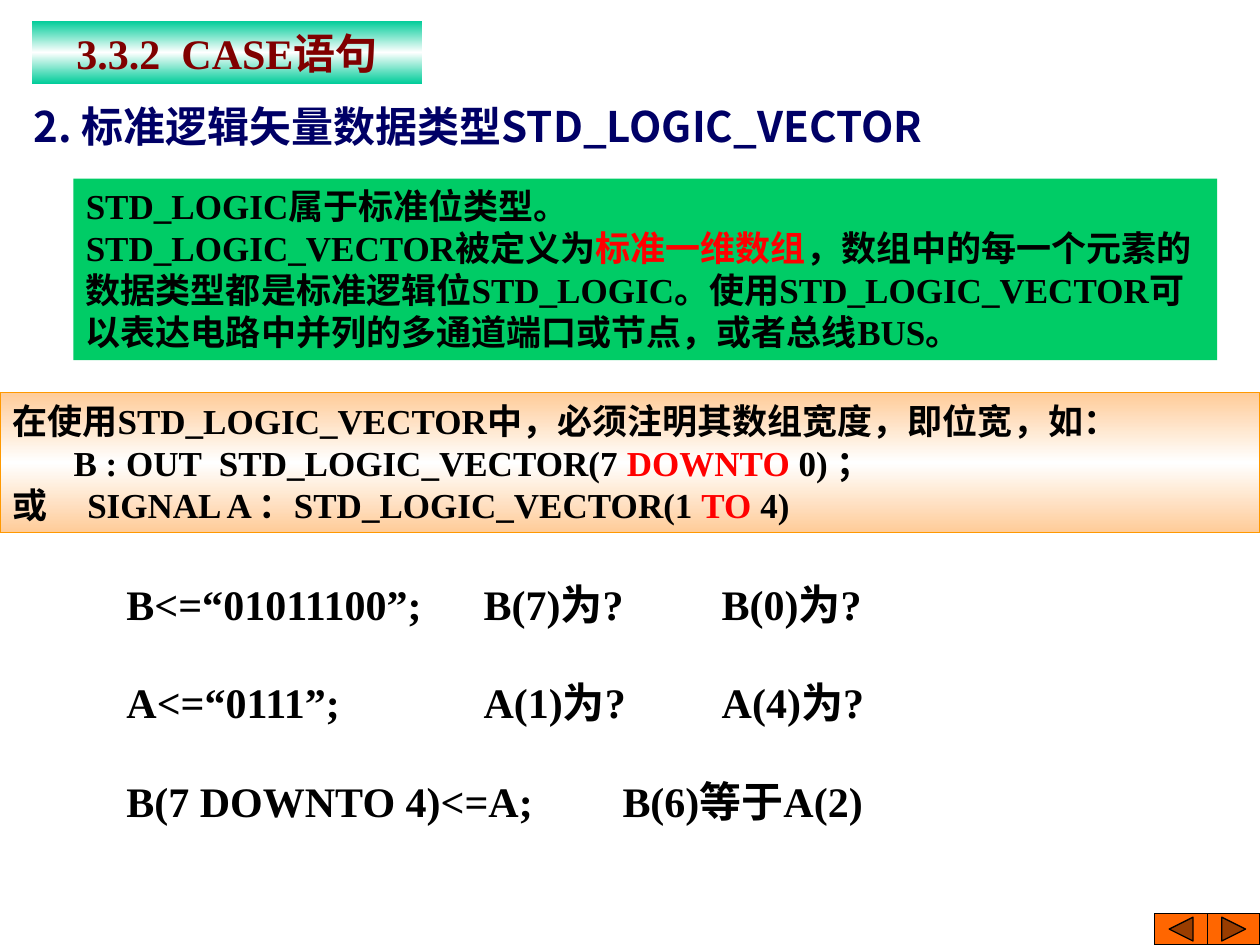
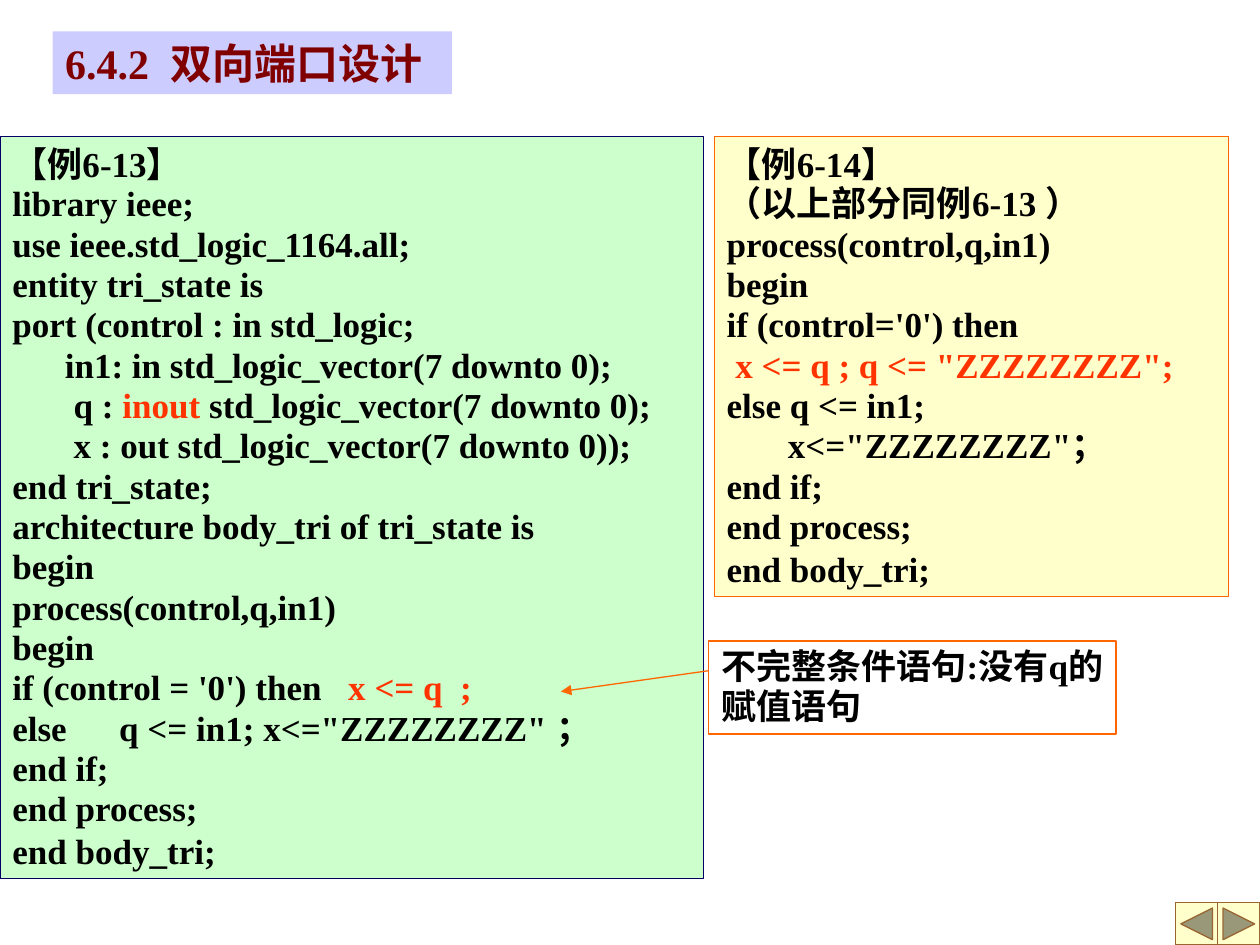
from copy import deepcopy

from lxml import etree
from pptx import Presentation
from pptx import util as u
from pptx.dml.color import RGBColor
from pptx.enum import shapes, text
from pptx.oxml.ns import qn

LATIN, CJK = "Times New Roman", "Noto Sans CJK SC"
BLACK, WHITE, MAROON, NAVY = "000000", "FFFFFF", "800000", "000066"
RED, VERMILION, ORANGE = "FF0000", "FF3300", "FF6600"
SLIDE_W, SLIDE_H = 25.4, 19.05

DEFINITION = """STD_LOGIC属于标准位类型。
STD_LOGIC_VECTOR被定义为|标准一维数组|，数组中的每一个元素的数据类型都是标准逻辑位STD_LOGIC。使用STD_LOGIC_VECTOR可以表达电路中并列的多通道端口或节点，或者总线BUS。"""

DECLARATIONS = """在使用STD_LOGIC_VECTOR中，必须注明其数组宽度，即位宽，如：
       B : OUT  STD_LOGIC_VECTOR(7 |DOWNTO| 0) ；
或\tSIGNAL A ：STD_LOGIC_VECTOR(1 |TO| 4)"""

QUIZ_ROWS = [
    [(0, 6.81, "B<=“01011100”;"), (7.2, 3.73, "B(7)为?"), (12, 3.73, "B(0)为?")],
    [(0, 4.9, "A<=“0111”;"), (7.2, 3.78, "A(1)为?"), (12, 3.78, "A(4)为?")],
    [(0, 8.71, "B(7 DOWNTO 4)<=A;"), (10, 5.79, "B(6)等于A(2)")],
]

EXAMPLE_13 = """【例6-13】
library ieee;
use ieee.std_logic_1164.all;
entity tri_state is
port (control : in std_logic;
      in1: in std_logic_vector(7 downto 0);
       q : |inout| std_logic_vector(7 downto 0);
       x : out std_logic_vector(7 downto 0));
end tri_state;
architecture body_tri of tri_state is
begin
process(control,q,in1)
begin
if (control = '0') then   |x <= q  ;|
else      q <= in1; x<="ZZZZZZZZ" ；
end if;
end process;
end body_tri;"""

EXAMPLE_14 = """【例6-14】
（以上部分同例6-13 ）
process(control,q,in1)
begin
if (control='0') then
 |x <= q ; q <= "ZZZZZZZZ";|
else q <= in1;
       x<="ZZZZZZZZ"；
end if;
end process;
end body_tri;"""


def rgb(color):
    """Turn a hex string into a colour."""
    return RGBColor.from_string(color)


def cm(box):
    """Turn a box of centimetres into lengths."""
    return [u.Cm(n) for n in box]


def write(sp, content, size=20, color=BLACK, accent=RED, font=LATIN,
          align=text.PP_ALIGN.LEFT, spacing=None, tab=None, wrap=True):
    """Write one paragraph per line, with |marked| parts in the accent colour."""
    tf = sp.text_frame
    tf.word_wrap = wrap
    tf.auto_size = text.MSO_AUTO_SIZE.NONE
    tf.vertical_anchor = text.MSO_ANCHOR.TOP
    lines = content.split("\n")
    for i, line in enumerate(lines):
        p = tf.paragraphs[0] if i == 0 else tf.add_paragraph()
        p.alignment = align
        if spacing and (len(lines) == 1 or 0 < i < len(lines) - 1):
            p.line_spacing = spacing
        if tab and "\t" in line:
            tabs = etree.SubElement(p._p.get_or_add_pPr(), qn("a:tabLst"))
            etree.SubElement(tabs, qn("a:tab"), pos=str(u.Cm(tab)), algn="l")
        for j, part in enumerate(line.split("|")):
            if not part:
                continue
            r = p.add_run()
            r.text = part
            r.font.size, r.font.bold, r.font.name = u.Pt(size), True, font
            r.font.color.rgb = rgb(accent if j % 2 else color)
            etree.SubElement(r._r.get_or_add_rPr(), qn("a:ea"), typeface=CJK)


def paint(sp, fill=None, line=None, glow=False):
    """Set a flat fill, or a band that glows white in the middle, and the line."""
    if glow:
        sp.fill.gradient()
        sp.fill.gradient_angle = 90
        stops = sp._element.spPr.find(".//" + qn("a:gsLst"))
        stops.append(deepcopy(stops[0]))
        for stop, pos, color in zip(sp.fill.gradient_stops, (0, 0.5, 1), (fill, WHITE, fill)):
            stop.position, stop.color.rgb = pos, rgb(color)
    elif fill:
        sp.fill.solid()
        sp.fill.fore_color.rgb = rgb(fill)
    else:
        sp.fill.background()
    if line:
        sp.line.color.rgb, sp.line.width = rgb(line), u.Pt(0.75)
    else:
        sp.line.fill.background()


def add_title(slide, box, content, fill, glow=False, **fmt):
    """Place the title placeholder as a coloured band."""
    sp = slide.shapes.title
    sp.left, sp.top, sp.width, sp.height = cm(box)
    paint(sp, fill, glow=glow)
    write(sp, content, size=24, color=MAROON, **fmt)


def add_panel(parent, box, content, fill=None, line=None, glow=False, **fmt):
    """Add a rectangle with text."""
    sp = parent.shapes.add_shape(shapes.MSO_SHAPE.RECTANGLE, *cm(box))
    sp.shadow.inherit = False
    paint(sp, fill, line, glow)
    write(sp, content, **fmt)


def add_label(slide, box, content, **fmt):
    """Add a plain 24-point text box."""
    write(slide.shapes.add_textbox(*cm(box)), content, size=24, **fmt)


def add_quiz(slide, box):
    """Spread the questions over equal rows of the box."""
    left, top, _, height = box
    pitch = height / len(QUIZ_ROWS)
    for i, row in enumerate(QUIZ_ROWS):
        for x, width, question in row:
            add_label(slide, (left + x, top + i * pitch, width, 1.27), question, wrap=False)


def add_callout(slide, box):
    """Group the remark with the arrow that leaves its left side."""
    left, top, _, _ = box
    grp = slide.shapes.add_group_shape()
    add_panel(grp, box, "不完整条件语句:没有q的赋值语句", line=ORANGE, spacing=0.96)
    ends = cm((left, top + 0.6, left - 2.98, top + 1.02))
    arrow = grp.shapes.add_connector(shapes.MSO_CONNECTOR.STRAIGHT, *ends)
    arrow.line.color.rgb, arrow.line.width = rgb(ORANGE), u.Pt(0.75)
    spPr = arrow._element.spPr
    etree.SubElement(spPr.get_or_add_ln(), qn("a:tailEnd"), type="triangle")
    etree.SubElement(spPr, qn("a:effectLst"))


def add_navigation(slide, width, height, fill, line):
    """Put the back and forward buttons in the bottom right corner."""
    kinds = (shapes.MSO_SHAPE.ACTION_BUTTON_BACK_OR_PREVIOUS,
             shapes.MSO_SHAPE.ACTION_BUTTON_FORWARD_OR_NEXT)
    for i, kind in enumerate(kinds):
        box = (SLIDE_W - (2 - i) * width, SLIDE_H - height, width, height)
        sp = slide.shapes.add_shape(kind, *cm(box))
        sp.shadow.inherit = False
        paint(sp, fill, line)


def build_vector_slide(slide):
    """Build the slide on the vector data type."""
    add_title(slide, (0.64, 0.42, 7.87, 1.27), "3.3.2  CASE语句", "00CC99",
              glow=True, align=text.PP_ALIGN.CENTER)
    add_label(slide, (0.43, 1.9, 19.69, 1.27), "2. 标准逻辑矢量数据类型STD_LOGIC_VECTOR",
              color=NAVY, font=CJK)
    add_panel(slide, (1.48, 3.6, 23.06, 3.66), DEFINITION, fill="00CC66")
    add_panel(slide, (0, 7.92, SLIDE_W, 2.81), DECLARATIONS, fill="FFCC99",
              line="FF9900", glow=True, tab=1.51)
    add_quiz(slide, (2.3, 11.53, 15.8, 5.97))
    add_navigation(slide, 1.06, 0.64, ORANGE, BLACK)


def build_port_slide(slide):
    """Build the slide on bidirectional ports."""
    add_title(slide, (1.06, 0.63, 8.05, 1.27), "6.4.2  双向端口设计", "CCCCFF")
    code = {"accent": VERMILION, "spacing": 0.96}
    add_panel(slide, (0, 2.75, 14.18, 14.96), EXAMPLE_13, fill="CCFFCC", line=NAVY, **code)
    add_panel(slide, (14.4, 2.75, 10.37, 9.27), EXAMPLE_14, fill="FFFFCC", line=ORANGE, **code)
    add_callout(slide, (14.29, 12.92, 8.21, 1.88))
    add_navigation(slide, 0.85, 0.85, "FFFFCC", "996633")


def main():
    """Build both slides and save them."""
    prs = Presentation()
    prs.slide_width, prs.slide_height = u.Cm(SLIDE_W), u.Cm(SLIDE_H)
    title_only = prs.slide_layouts[5]
    for build in (build_vector_slide, build_port_slide):
        build(prs.slides.add_slide(title_only))
    prs.save("out.pptx")


if __name__ == "__main__":
    main()
